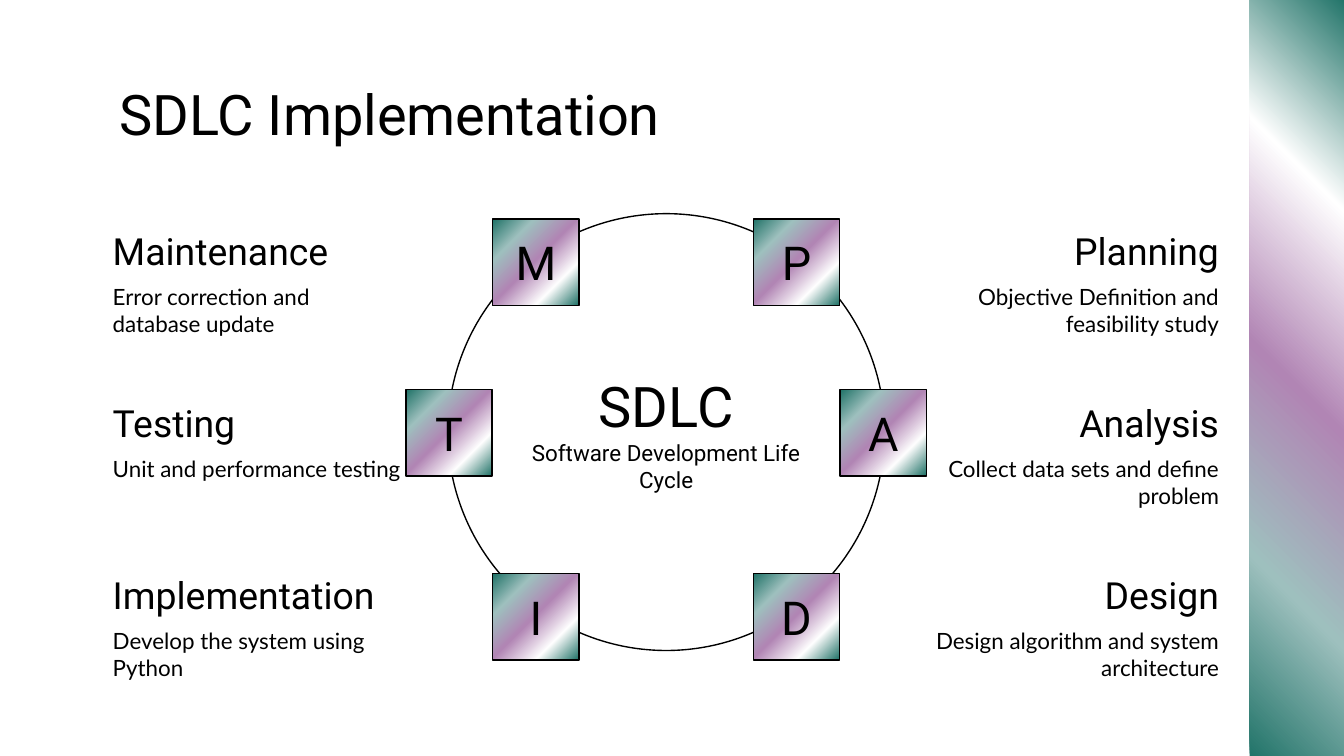
from pptx import Presentation
from pptx.dml.color import RGBColor
from pptx.enum.shapes import MSO_SHAPE
from pptx.enum.text import MSO_ANCHOR, PP_ALIGN
from pptx.oxml.ns import qn
from pptx.util import Pt
from lxml import etree

RECTANGLE, OVAL = MSO_SHAPE.RECTANGLE, MSO_SHAPE.OVAL
TOP, MIDDLE, BOTTOM = MSO_ANCHOR.TOP, MSO_ANCHOR.MIDDLE, MSO_ANCHOR.BOTTOM
LEFT, CENTER, RIGHT = PP_ALIGN.LEFT, PP_ALIGN.CENTER, PP_ALIGN.RIGHT

# Content: (heading, description), top to bottom; the first letter names the tile
TITLE = "SDLC Implementation"
HUB = ("SDLC", "Software Development Life Cycle")
LEFT_PHASES = [
    ("Maintenance", "Error correction and database update"),
    ("Testing", "Unit and performance testing"),
    ("Implementation", "Develop the system using Python"),
]
RIGHT_PHASES = [
    ("Planning", "Objective Definition and feasibility study"),
    ("Analysis", "Collect data sets and define problem"),
    ("Design", "Design algorithm and system architecture"),
]

THEME = {
    "ink": RGBColor(0, 0, 0),
    "paper": RGBColor(255, 255, 255),
    "gradient": [(0, "207368"), (24, "9EC0BE"), (49, "B185B4"),
                 (75, "FFFFFF"), (100, "207368")],
    "heading_font": "Roboto", "body_font": "Lato",
    "title": 30, "tile": 25, "heading": 20, "body": 12,
}

# Layout in points
CENTER_X, CENTER_Y, DIAMETER = 356.9, 231.5, 234
TILE = 46.2
TILE_TOPS = (117.4, 208.8, 307.4)
TILE_OFFSETS = (69.8, 116.3, 69.8)
LABEL_WIDTH, LABEL_TOP, LABEL_STEP = 169.2, 118.1, 92.2
LABEL_LEFTS = {-1: 53.3, 1: 491}
BODY_DROP = 30.2


def write(shape, lines, anchor=TOP, align=LEFT, inset=3.6):
    """Fill a shape with paragraphs given as (text, size, font)."""
    frame = shape.text_frame
    frame.word_wrap = True
    frame.vertical_anchor = anchor
    frame.margin_left = frame.margin_right = Pt(7.2)
    frame.margin_top = frame.margin_bottom = Pt(inset)
    for index, (text, size, font) in enumerate(lines):
        para = frame.add_paragraph() if index else frame.paragraphs[0]
        para.alignment = align
        span = para.add_run()
        span.text = text
        span.font.size, span.font.name = Pt(size), font
        span.font.color.rgb = THEME["ink"]


def add_text(page, text, left, top, width, height, size, font, **layout):
    box = page.shapes.add_textbox(Pt(left), Pt(top), Pt(width), Pt(height))
    write(box, [(text, size, font)], **layout)


def add_figure(page, kind, left, top, width, height, outlined=True):
    shape = page.shapes.add_shape(kind, Pt(left), Pt(top), Pt(width), Pt(height))
    shape.shadow.inherit = False
    if outlined:
        shape.line.color.rgb = THEME["ink"]
        shape.line.width = Pt(0.75)
    else:
        shape.line.fill.background()
    return shape


def fill_gradient(shape, angle):
    """Apply the theme gradient; the angle runs counter-clockwise."""
    shape.fill.gradient()
    shape.fill.gradient_angle = angle
    stops = shape._element.spPr.find(qn("a:gradFill")).find(qn("a:gsLst"))
    for stop in list(stops):
        stops.remove(stop)
    for position, color in THEME["gradient"]:
        stop = etree.SubElement(stops, qn("a:gs"), pos=str(position * 1000))
        etree.SubElement(stop, qn("a:srgbClr"), val=color)


def add_phase(page, row, side, heading, description):
    # Lettered tile on the ring
    left = CENTER_X + side * TILE_OFFSETS[row] - TILE / 2
    tile = add_figure(page, RECTANGLE, left, TILE_TOPS[row], TILE, TILE)
    fill_gradient(tile, 315)
    write(tile, [(heading[0], THEME["tile"], THEME["heading_font"])],
          anchor=MIDDLE, align=CENTER)
    # Heading and description beside it
    align = LEFT if side < 0 else RIGHT
    left, top = LABEL_LEFTS[side], LABEL_TOP + row * LABEL_STEP
    add_text(page, description, left, top + BODY_DROP, LABEL_WIDTH, 41,
             THEME["body"], THEME["body_font"], align=align)
    add_text(page, heading, left, top, LABEL_WIDTH, 35.3, THEME["heading"],
             THEME["heading_font"], anchor=BOTTOM, align=align, inset=7.2)


def main():
    deck = Presentation()
    deck.slide_width, deck.slide_height = Pt(720), Pt(405)
    page = deck.slides.add_slide(deck.slide_layouts[6])

    # Side band and title
    band = add_figure(page, RECTANGLE, 669.4, -2, 50.6, 409, outlined=False)
    fill_gradient(band, 45)
    add_text(page, TITLE, 56.9, 35.3, 607, 45.4, THEME["title"],
             THEME["heading_font"], inset=7.2)

    # Ring with the hub text
    ring = add_figure(page, OVAL, CENTER_X - DIAMETER / 2,
                      CENTER_Y - DIAMETER / 2, DIAMETER, DIAMETER)
    ring.fill.solid()
    ring.fill.fore_color.rgb = THEME["paper"]
    write(ring, [(text, size, THEME["heading_font"])
                 for text, size in zip(HUB, (THEME["title"], THEME["body"]))],
          anchor=MIDDLE, align=CENTER)

    # Phases on both sides
    for side, phases in ((-1, LEFT_PHASES), (1, RIGHT_PHASES)):
        for row, (heading, description) in enumerate(phases):
            add_phase(page, row, side, heading, description)

    deck.save("out.pptx")


if __name__ == "__main__":
    main()
